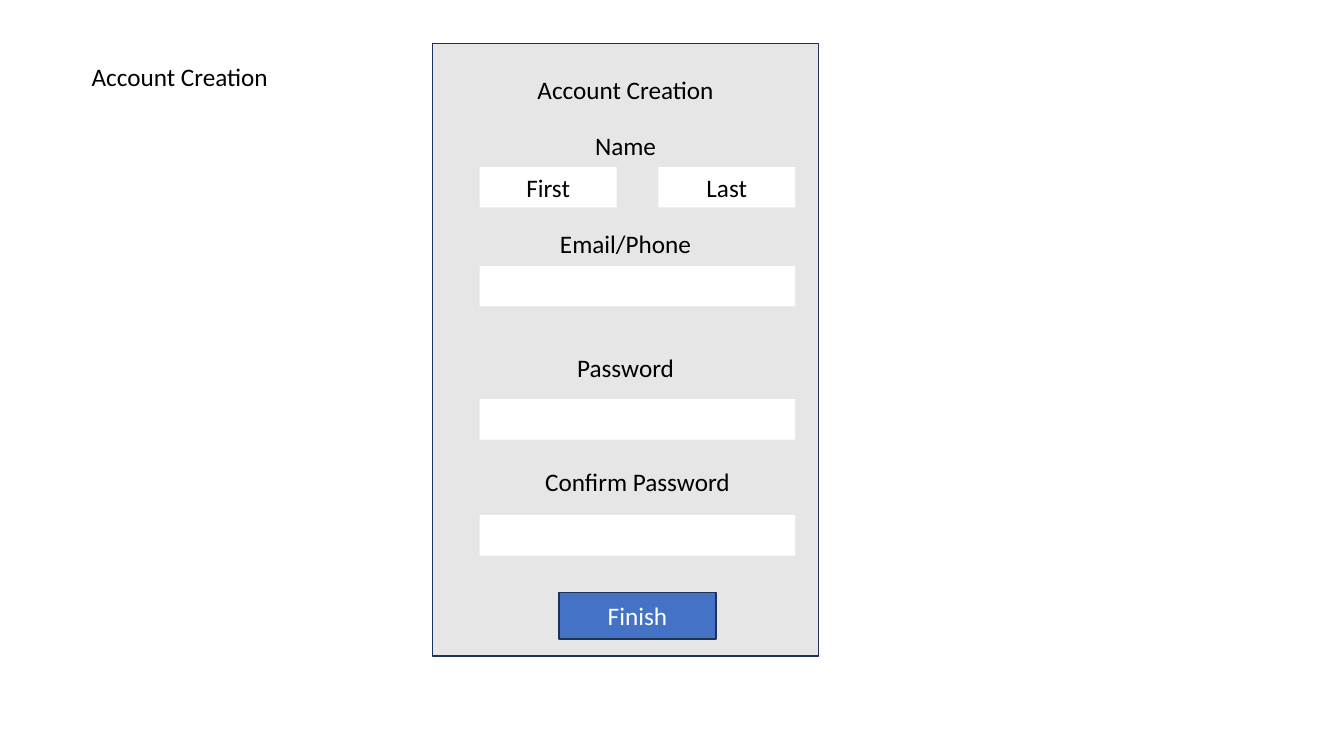
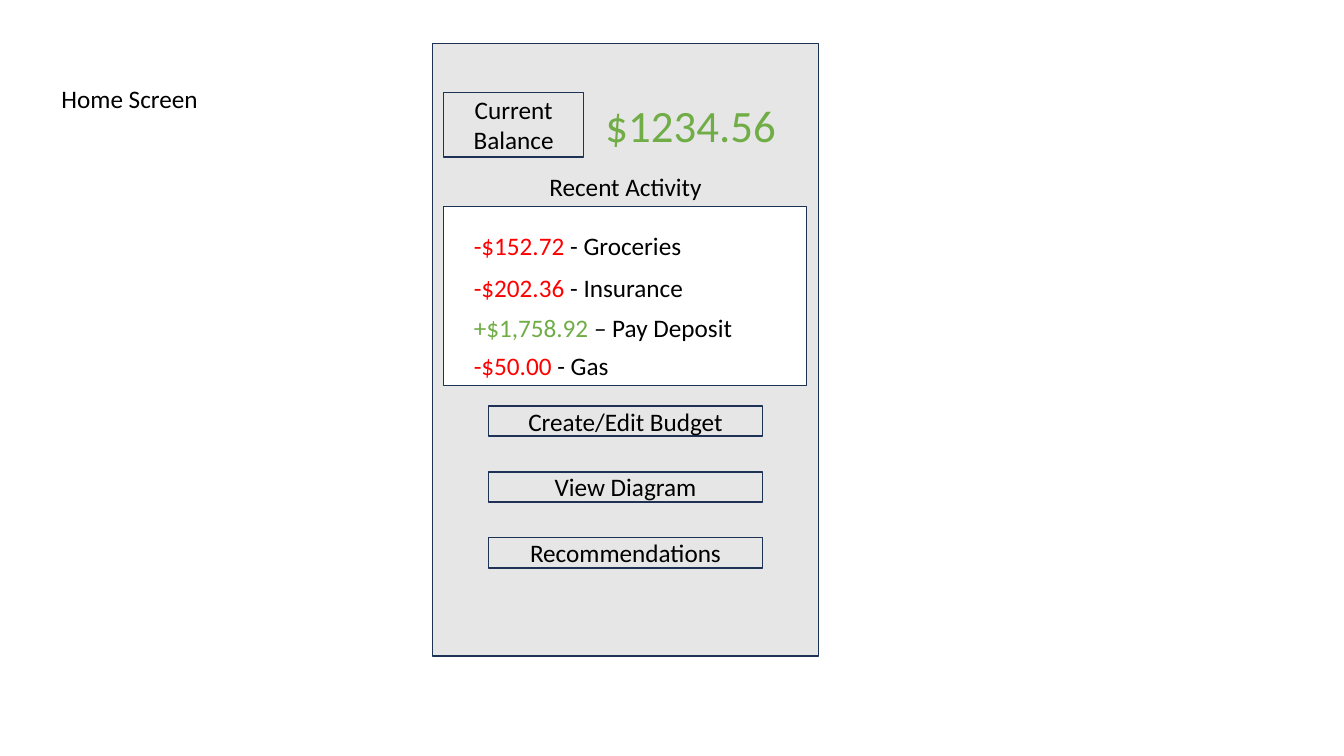
from collections import namedtuple

from pptx import Presentation
from pptx.dml.color import RGBColor
from pptx.enum.shapes import MSO_SHAPE as Preset
from pptx.enum.text import MSO_ANCHOR as Anchor, PP_ALIGN as Align
from pptx.util import Cm, Pt

Box = namedtuple("Box", "left top width height")

FONT = "Calibri"
BLACK = RGBColor(0x00, 0x00, 0x00)
WHITE = RGBColor(0xFF, 0xFF, 0xFF)
GREY = RGBColor(0xE7, 0xE6, 0xE6)
NAVY = RGBColor(0x1E, 0x32, 0x56)
BLUE = RGBColor(0x44, 0x72, 0xC4)
GREEN = RGBColor(0x70, 0xAD, 0x47)
RED = RGBColor(0xFF, 0x00, 0x00)

SCREEN = Box(10.9, 1.09, 9.73, 15.44)
ROW = 1.02


def inside(box, left, top, width, height=ROW):
    """Return a box whose offsets are measured from another box."""
    return Box(box.left + left, box.top + top, width, height)


def centred(box, top, width, height=ROW, shift=0):
    """Return a box centred across another box, with an optional sideways shift."""
    return inside(box, (box.width - width) / 2 + shift, top, width, height)


def write(shape, runs, align, anchor, size=18):
    """Write coloured runs as the only paragraph of a shape."""
    frame = shape.text_frame
    frame.word_wrap = True
    frame.vertical_anchor = anchor
    paragraph = frame.paragraphs[0]
    paragraph.alignment = align
    for text, color in runs:
        run = paragraph.add_run()
        run.text = text
        run.font.name = FONT
        run.font.size = Pt(size)
        run.font.color.rgb = color


def add_label(slide, box, *runs, align=Align.CENTER, size=18):
    """Add a text box made of coloured runs."""
    shape = slide.shapes.add_textbox(*map(Cm, box))
    write(shape, runs, align, Anchor.TOP, size)


def add_panel(slide, box, fill, line=NAVY, text="", color=BLACK, anchor=Anchor.MIDDLE):
    """Add a filled rectangle with an optional outline and centred text."""
    shape = slide.shapes.add_shape(Preset.RECTANGLE, *map(Cm, box))
    shape.shadow.inherit = False
    shape.fill.solid()
    shape.fill.fore_color.rgb = fill
    if line is None:
        shape.line.fill.background()
    else:
        shape.line.color.rgb = line
        shape.line.width = Pt(1)
    if text:
        write(shape, [(text, color)], Align.CENTER, anchor)


def add_screen_slide(presentation):
    """Add a blank slide with the grey app screen on it."""
    slide = presentation.slides.add_slide(presentation.slide_layouts[6])
    add_panel(slide, SCREEN, GREY)
    return slide


def add_account_form(slide, screen):
    """Place the sign-up form on the app screen."""
    left, width, half = 1.19, 7.95, 3.45
    labels = [
        ("Account Creation", 0.66, 7.34, 0),
        ("Name", 2.08, 3.45, 0),
        ("Email/Phone", 4.55, 4.11, 0),
        ("Password", 7.67, 4.11, 0),
        ("Confirm Password", 10.54, 5.41, 0.3),
    ]
    for text, top, label_width, shift in labels:
        add_label(slide, centred(screen, top, label_width, shift=shift), (text, BLACK))
    for text, field_left in (("First", left), ("Last", left + width - half)):
        add_panel(slide, inside(screen, field_left, 3.12, half), WHITE, None, text,
                  anchor=Anchor.TOP)
    for top in (5.61, 8.97, 11.89):
        add_panel(slide, inside(screen, left, top, width), WHITE, None)
    add_panel(slide, centred(screen, 13.84, 3.96, 1.17, 0.3), BLUE, text="Finish", color=WHITE)


def add_balance(slide, screen):
    """Place the current balance at the top of the app screen."""
    add_panel(slide, inside(screen, 0.28, 1.24, 3.53, 1.63), GREY, text="Current Balance")
    add_label(slide, inside(screen, 4.11, 1.24, 5.28, 1.63), ("$1234.56", GREEN),
              align=Align.LEFT, size=32)


def add_activity(slide, screen):
    """Place the list of recent transactions under its heading."""
    add_label(slide, centred(screen, 3.1, 5.28), ("Recent Activity", BLACK))
    activity = inside(screen, 0.28, 4.11, 9.14, 4.52)
    add_panel(slide, activity, WHITE)
    entries = [
        (0.49, "-$152.72", RED, " - Groceries"),
        (1.55, "-$202.36 ", RED, "- Insurance"),
        (2.54, "+$1,758.92 ", GREEN, "– Pay Deposit"),
        (3.51, "-$50.00 ", RED, "- Gas"),
    ]
    for top, amount, color, purpose in entries:
        add_label(slide, inside(activity, 0.51, top, 8.1), (amount, color), (purpose, BLACK),
                  align=Align.LEFT)


def add_menu(slide, screen):
    """Place the evenly spaced menu buttons on the app screen."""
    for index, text in enumerate(("Create/Edit Budget", "View Diagram", "Recommendations")):
        add_panel(slide, centred(screen, 9.14 + index * 1.66, 6.91, 0.76), GREY, text=text)


def add_account_slide(presentation):
    """Build the account creation slide."""
    slide = add_screen_slide(presentation)
    add_account_form(slide, SCREEN)
    add_label(slide, Box(0.86, 1.42, 7.34, ROW), ("Account Creation", BLACK))


def add_home_slide(presentation):
    """Build the home screen slide."""
    slide = add_screen_slide(presentation)
    add_label(slide, Box(1.3, 1.98, 5.16, ROW), ("Home Screen", BLACK), align=Align.LEFT)
    add_balance(slide, SCREEN)
    add_activity(slide, SCREEN)
    add_menu(slide, SCREEN)


def main():
    """Build and save the presentation."""
    presentation = Presentation()
    presentation.slide_width = Cm(33.87)
    presentation.slide_height = Cm(19.05)
    add_account_slide(presentation)
    add_home_slide(presentation)
    presentation.save("out.pptx")


if __name__ == "__main__":
    main()
